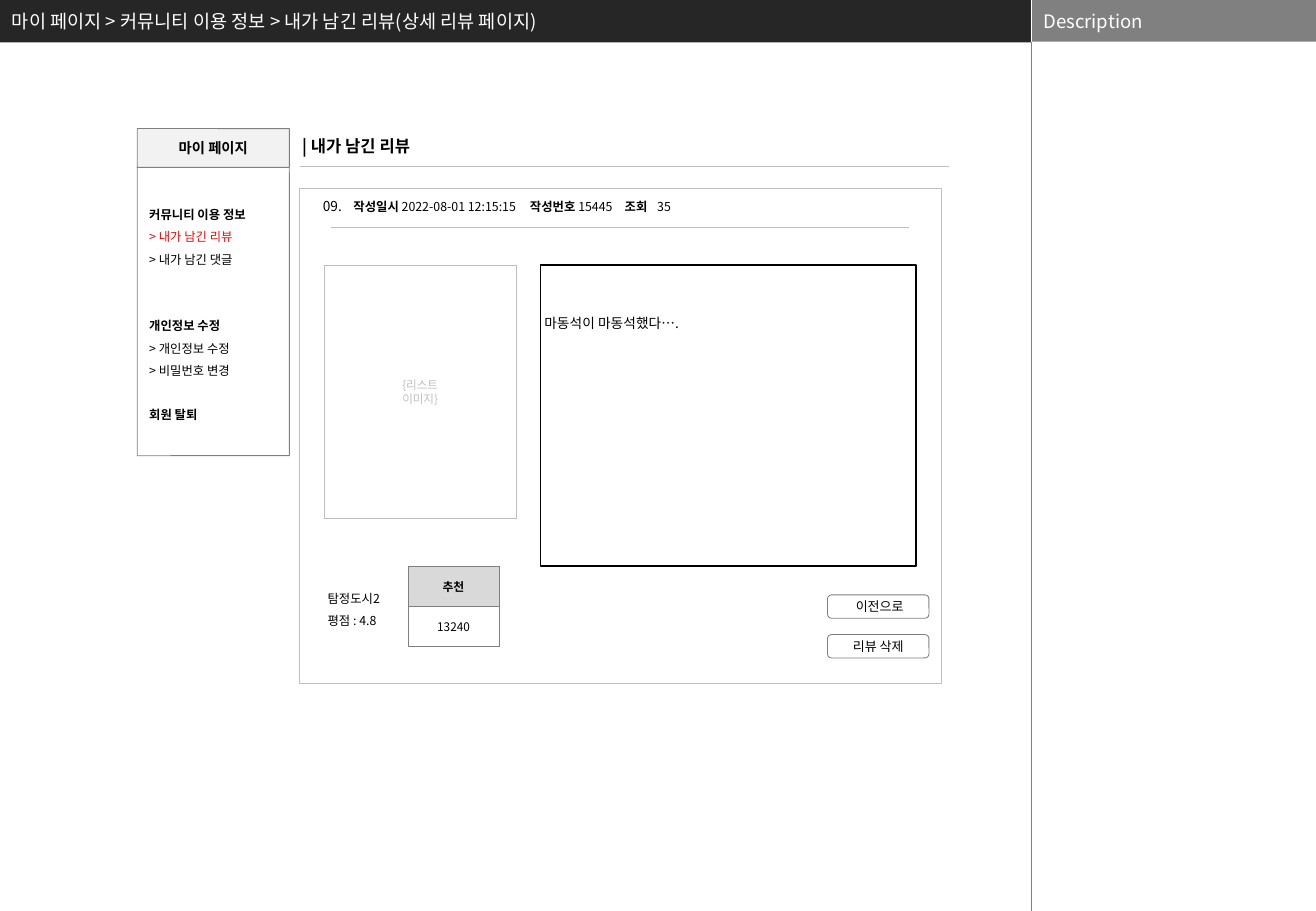
from lxml.etree import SubElement
from pptx import Presentation
from pptx.dml.color import RGBColor
from pptx.enum.shapes import MSO_CONNECTOR, MSO_SHAPE
from pptx.enum.text import MSO_ANCHOR, PP_ALIGN
from pptx.oxml import parse_xml
from pptx.oxml.ns import nsdecls, qn
from pptx.util import Cm, Pt

FONT = "Noto Sans CJK KR"
BLACK = RGBColor(0x00, 0x00, 0x00)
WHITE = RGBColor(0xFF, 0xFF, 0xFF)
RED = RGBColor(0xFF, 0x00, 0x00)
DARK = RGBColor(0x26, 0x26, 0x26)
GRAY = RGBColor(0x80, 0x80, 0x80)
SILVER = RGBColor(0xBF, 0xBF, 0xBF)
LIGHT = RGBColor(0xD9, 0xD9, 0xD9)
PALE = RGBColor(0xF2, 0xF2, 0xF2)

SMALL = 7.3
ROW = 13.2  # points taken by one menu row


def put(frame, text, size=SMALL, color=BLACK, bold=False, align=PP_ALIGN.LEFT,
        lead=1.0, before=0, join=False):
    """Add a paragraph, or a run of the last paragraph if join is set."""
    par = frame.paragraphs[-1]
    if not join:
        if par.runs:
            par = frame.add_paragraph()
        par.alignment = align
        par.line_spacing = lead
        par.space_before = Pt(before)
    run = par.add_run()
    run.text = text
    font = run.font
    font.size, font.bold, font.name = Pt(size), bold, FONT
    font.color.rgb = color
    SubElement(font._element, qn("a:ea"), typeface=FONT)


def setup(frame, inset=0.25, wrap=True, anchor=MSO_ANCHOR.MIDDLE):
    frame.word_wrap = wrap
    frame.vertical_anchor = anchor
    frame.margin_left = frame.margin_right = Cm(inset)
    frame.margin_top = frame.margin_bottom = Cm(min(inset, 0.13))
    return frame


def box(slide, x, y, w, h, fill=None, line=None, width=0.5, round=None, **form):
    """Draw a rectangle, rounded by the given ratio, and return its text frame."""
    kind = MSO_SHAPE.RECTANGLE if round is None else MSO_SHAPE.ROUNDED_RECTANGLE
    shape = slide.shapes.add_shape(kind, Cm(x), Cm(y), Cm(w), Cm(h))
    shape.shadow.inherit = False
    if round is not None:
        shape.adjustments[0] = round
    if fill is None:
        shape.fill.background()
    else:
        shape.fill.solid()
        shape.fill.fore_color.rgb = fill
    if line is None:
        shape.line.fill.background()
    else:
        shape.line.color.rgb = line
        shape.line.width = Pt(width)
    return setup(shape.text_frame, **form)


def label(slide, x, y, w, h, **form):
    text = slide.shapes.add_textbox(Cm(x), Cm(y), Cm(w), Cm(h))
    return setup(text.text_frame, anchor=MSO_ANCHOR.TOP, **form)


def rule(slide, x1, y1, x2, y2, color=SILVER, width=0.75):
    line = slide.shapes.add_connector(
        MSO_CONNECTOR.STRAIGHT, Cm(x1), Cm(y1), Cm(x2), Cm(y2))
    line.line.color.rgb = color
    line.line.width = Pt(width)
    SubElement(line._element.spPr, qn("a:effectLst"))


def edge(cell, color):
    """Give a cell four thin borders."""
    props = cell._tc.get_or_add_tcPr()
    for spot, side in enumerate("LRTB"):
        props.insert(spot, parse_xml(
            f'<a:ln{side} {nsdecls("a")} w="{Pt(0.5)}"><a:solidFill>'
            f'<a:srgbClr val="{color}"/></a:solidFill></a:ln{side}>'))


def table(slide, x, y, w, h, rows, color):
    """Draw one column from (text, bold, fill) rows."""
    grid = slide.shapes.add_table(
        len(rows), 1, Cm(x), Cm(y), Cm(w), Cm(h)).table
    grid.first_row = grid.horz_banding = False
    for spot, (text, bold, fill) in enumerate(rows):
        cell = grid.cell(spot, 0)
        cell.vertical_anchor = MSO_ANCHOR.MIDDLE
        cell.margin_left = cell.margin_right = 0
        cell.margin_top = cell.margin_bottom = 0
        if fill is None:
            cell.fill.background()
        else:
            cell.fill.solid()
            cell.fill.fore_color.rgb = fill
        if text:
            put(cell.text_frame, text, size=7, bold=bold, align=PP_ALIGN.CENTER)
        edge(cell, color)


def tabs(par, *stops):
    holder = SubElement(par._p.get_or_add_pPr(), qn("a:tabLst"))
    for stop in stops:
        SubElement(holder, qn("a:tab"), pos=str(int(Cm(stop))), algn="l")


def header(slide):
    put(box(slide, 0, 0, 21.56, 0.89, fill=DARK),
        "마이 페이지 > 커뮤니티 이용 정보 > 내가 남긴 리뷰(상세 리뷰 페이지)",
        size=11, color=WHITE)
    put(box(slide, 21.56, 0, 5.95, 0.87, fill=GRAY), "Description",
        size=11, color=WHITE)
    rule(slide, 21.56, 0, 21.56, 0.89, WHITE, 0.25)
    rule(slide, 21.56, 0.87, 21.56, 19.05, GRAY, 0.25)


def menu(slide):
    side = box(slide, 2.87, 3.48, 3.18, 6.05, line=GRAY, round=0.001)
    for text, bold, color, gap in (
            ("커뮤니티 이용 정보", True, BLACK, 0),
            ("> 내가 남긴 리뷰", False, RED, 0),
            ("> 내가 남긴 댓글", False, BLACK, 0),
            ("개인정보 수정", True, BLACK, 2),
            ("> 개인정보 수정", False, BLACK, 0),
            ("> 비밀번호 변경", False, BLACK, 0),
            ("회원 탈퇴", True, BLACK, 1)):
        put(side, text, bold=bold, color=color, lead=1.5, before=gap * ROW)
    put(box(slide, 2.87, 2.69, 3.18, 0.81, fill=PALE, line=GRAY, round=0.001),
        "마이 페이지", size=8.5, bold=True, align=PP_ALIGN.CENTER)


def review(slide):
    put(label(slide, 5.99, 2.72, 5.69, 0.69), " | 내가 남긴 리뷰",
        size=9.8, bold=True)
    rule(slide, 6.27, 3.48, 19.84, 3.48)
    box(slide, 6.27, 3.94, 13.41, 10.36, line=SILVER)
    rule(slide, 6.91, 4.75, 19, 4.75)

    info = label(slide, 6.5, 4.01, 8.5, 0.61)
    put(info, "09.", size=8.1)
    for text, bold in (("\t작성일시", True), (" 2022-08-01 12:15:15", False),
                       ("\t작성번호 ", True), ("15445", False),
                       ("\t조회", True), ("\t35", False)):
        put(info, text, bold=bold, join=True)
    tabs(info.paragraphs[0], 0.64, 4.33, 6.31, 6.99)

    table(slide, 6.78, 5.54, 4.01, 5.31, [("", False, None)], SILVER)
    image = box(slide, 8.38, 7.9, 0.81, 0.58, fill=WHITE, inset=0,
                wrap=False, anchor=MSO_ANCHOR.TOP)
    for text in ("{리스트", "이미지}"):
        put(image, text, size=6.9, color=SILVER, align=PP_ALIGN.CENTER)

    body = box(slide, 11.3, 5.54, 7.85, 6.3, fill=WHITE, line=BLACK,
               width=0.75, inset=0.08, anchor=MSO_ANCHOR.TOP)
    body.margin_top = Cm(1.04)
    put(body, "마동석이 마동석했다….", size=8.1)

    film = label(slide, 6.6, 12.07, 1.68, 1.14, wrap=False)
    for text in ("탐정도시2", "평점 : 4.8"):
        put(film, text, lead=1.5)
    table(slide, 8.53, 11.84, 1.9, 1.68,
          [("추천", True, LIGHT), ("13240", False, None)], GRAY)

    for spot, text in enumerate((" 이전으로", "리뷰 삭제")):
        put(box(slide, 17.3, 12.44 + 0.83 * spot, 2.12, 0.49, line=GRAY,
                round=0.17, inset=0.1),
            text, size=7.7, align=PP_ALIGN.CENTER)


def main():
    deck = Presentation()
    deck.slide_width, deck.slide_height = Cm(27.51), Cm(19.05)
    slide = deck.slides.add_slide(deck.slide_layouts[6])
    header(slide)
    review(slide)
    menu(slide)
    deck.save("out.pptx")


if __name__ == "__main__":
    main()
